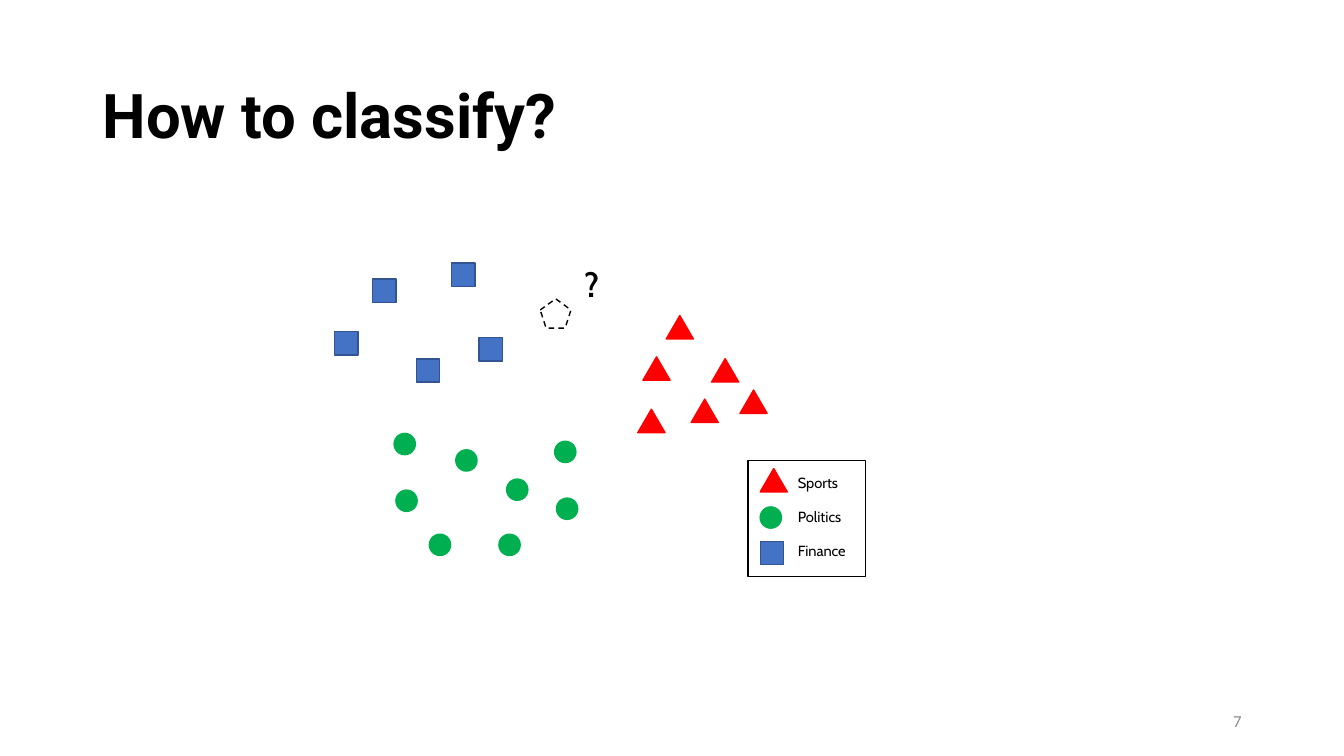
from pptx import Presentation
from pptx.dml.color import RGBColor
from pptx.enum.dml import MSO_LINE
from pptx.enum.shapes import MSO_SHAPE
from pptx.enum.text import MSO_ANCHOR, PP_ALIGN
from pptx.util import Pt

RECT, TRIANGLE, OVAL = MSO_SHAPE.RECTANGLE, MSO_SHAPE.ISOSCELES_TRIANGLE, MSO_SHAPE.OVAL
PENTAGON = MSO_SHAPE.REGULAR_PENTAGON
DASH = MSO_LINE.DASH
TOP, MIDDLE = MSO_ANCHOR.TOP, MSO_ANCHOR.MIDDLE
LEFT, RIGHT = PP_ALIGN.LEFT, PP_ALIGN.RIGHT

TITLE = "How to classify?"
PAGE = "7"
BLACK = "000000"

# class: marker shape, width, height, fill, line
MARKERS = {
    "Sports": (TRIANGLE, 19.4, 16.7, "FF0000", "FF0000"),
    "Politics": (OVAL, 15.2, 15.2, "00B050", "00B050"),
    "Finance": (RECT, 16.7, 16.7, "4472C4", "325491"),
}
# class: left and top of each document
DOCUMENTS = {
    "Finance": [(266.3, 199.3), (239, 236.9), (297.4, 256.3), (322.6, 187.9), (342.2, 241.2)],
    "Sports": [(475.9, 225.4), (459.3, 254.9), (455.6, 292.3), (528.6, 278.6),
               (508.3, 256.2), (493.7, 285.1)],
    "Politics": [(281.5, 309.6), (325.6, 321.3), (361.9, 342.2), (356.4, 381.6),
                 (306.7, 381.6), (282.8, 350.1), (396.2, 315.2), (397.5, 355.8)],
}
LEGEND_BOX = (534.4, 329, 83.7, 82.8)
LEGEND_MARKER_TOPS = {"Sports": 334.7, "Politics": 362.1, "Finance": 386.7}
LEGEND_MARKER_LEFT, LEGEND_TEXT_LEFT = 543, 562.8
LEGEND_TEXT_TOP, LEGEND_PITCH = 334.8, 24.5


def rgb(value):
    return RGBColor.from_string(value)


def add_shape(shapes, kind, box, fill=None, line=BLACK, dash=None):
    sp = shapes.add_shape(kind, *map(Pt, box))
    sp.shadow.inherit = False
    if fill:
        sp.fill.solid()
        sp.fill.fore_color.rgb = rgb(fill)
    else:
        sp.fill.background()
    sp.line.color.rgb = rgb(line)
    sp.line.width = Pt(1)
    if dash:
        sp.line.dash_style = dash


def add_marker(shapes, name, left, top):
    kind, width, height, fill, line = MARKERS[name]
    add_shape(shapes, kind, (left, top, width, height), fill, line)


def write(tf, text, size, font="Cabin", color=BLACK, bold=False, align=LEFT, anchor=TOP):
    tf.word_wrap = True
    tf.vertical_anchor = anchor
    p = tf.paragraphs[0]
    p.alignment = align
    r = p.add_run()
    r.text = text
    r.font.size, r.font.name, r.font.bold = Pt(size), font, bold
    r.font.color.rgb = rgb(color)


def add_text(shapes, box, text, size, **style):
    write(shapes.add_textbox(*map(Pt, box)).text_frame, text, size, **style)


def add_legend(shapes):
    legend = shapes.add_group_shape().shapes
    for row, name in enumerate(MARKERS):
        add_marker(legend, name, LEGEND_MARKER_LEFT, LEGEND_MARKER_TOPS[name])
        top = LEGEND_TEXT_TOP + row * LEGEND_PITCH
        add_text(legend, (LEGEND_TEXT_LEFT, top, 75, 20), name, 10.5)
    add_shape(legend, RECT, LEGEND_BOX)


def main():
    prs = Presentation()
    prs.slide_width, prs.slide_height = Pt(960), Pt(540)
    s = prs.slides.add_slide(prs.slide_layouts[5])
    title = s.shapes.title
    title.left, title.top, title.width, title.height = map(Pt, (66, 28.8, 828, 104.4))
    write(title.text_frame, TITLE, 44, font="Roboto", bold=True, anchor=MIDDLE)
    add_text(s.shapes, (678, 500.5, 216, 28.8), PAGE, 12, font="Calibri",
             color="898989", align=RIGHT, anchor=MIDDLE)

    for name, places in DOCUMENTS.items():
        for left, top in places:
            add_marker(s.shapes, name, left, top)
    add_text(s.shapes, (410.4, 185, 48, 36), "?", 24, bold=True)
    add_shape(s.shapes, PENTAGON, (385.9, 213.4, 22, 21), dash=DASH)
    add_legend(s.shapes)
    prs.save("out.pptx")


if __name__ == "__main__":
    main()
